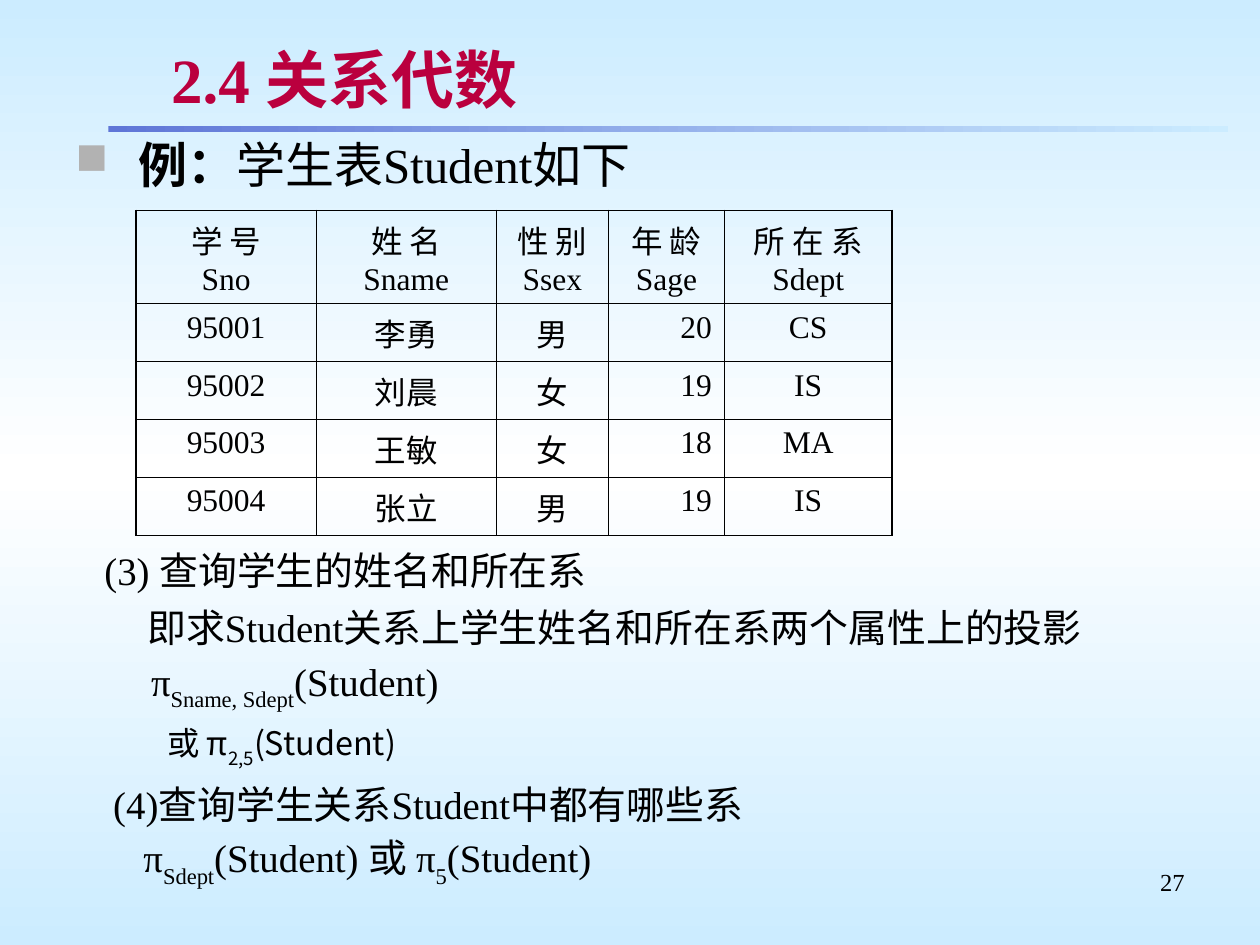
from copy import deepcopy

from lxml.etree import SubElement
from pptx import Presentation
from pptx.dml.color import RGBColor
from pptx.enum.shapes import MSO_SHAPE
from pptx.enum.text import MSO_ANCHOR, PP_ALIGN
from pptx.oxml import parse_xml
from pptx.oxml.ns import nsdecls, qn
from pptx.util import Inches, Pt

BLACK = RGBColor(0x00, 0x00, 0x00)
WHITE = RGBColor(0xFF, 0xFF, 0xFF)
SKY = RGBColor(0xCC, 0xEC, 0xFF)
INDIGO = RGBColor(0x5F, 0x76, 0xD7)
CRIMSON = RGBColor(0xBA, 0x00, 0x3E)
GREY = RGBColor(0xB2, 0xB2, 0xB2)
SERIF, CJK = "Times New Roman", "Noto Sans CJK SC"

HEADINGS = [("学 号", "Sno"), ("姓 名", "Sname"), ("性 别", "Ssex"),
            ("年 龄", "Sage"), ("所 在 系", "Sdept")]
STUDENTS = [("95001", "李勇", "男", "20", "CS"),
            ("95002", "刘晨", "女", "19", "IS"),
            ("95003", "王敏", "女", "18", "MA"),
            ("95004", "张立", "男", "19", "IS")]
COLUMN_WIDTHS = [1.43, 1.43, 0.89, 0.92, 1.33]
AGE_COLUMN = 3
THICK, THIN = 1.08, 0.45

# Each line: indent in inches, points before, size, font, runs ("_" marks a subscript)
QUERIES = [
    (0.31, 0, 22.2, SERIF, ["(3) 查询学生的姓名和所在系"]),
    (0.65, 6, 22.2, SERIF, ["即求Student关系上学生姓名和所在系两个属性上的投影"]),
    (0.68, 9, 22.2, SERIF, ["π", "_Sname, Sdept", "(Student)"]),
    (0.81, 6, 18.5, CJK, ["或 π", "_2,5", "(Student)"]),
    (0.38, 6.5, 22.2, SERIF, ["(4)查询学生关系Student中都有哪些系"]),
    (0.62, 9, 22.2, SERIF, ["π", "_Sdept", "(Student) 或 π", "_5", "(Student)"]),
]


def add_run(paragraph, text, size, color=BLACK, name=SERIF, bold=False):
    run = paragraph.add_run()
    run.text = text
    run.font.color.rgb = color
    for attribute, value in {"size": Pt(size), "name": name, "bold": bold}.items():
        setattr(run.font, attribute, value)
    SubElement(run.font._element, qn("a:ea"), typeface=CJK)
    return run


def add_frame(slide, box, anchor=MSO_ANCHOR.TOP):
    frame = slide.shapes.add_textbox(*map(Inches, box)).text_frame
    frame.word_wrap = True
    frame.vertical_anchor = anchor
    return frame


def paint_background(slide):
    fill = slide.background.fill
    fill.gradient()
    fill.gradient_angle = 90
    for stop in fill.gradient_stops:
        stop.color.rgb = SKY
    # White stop half way down
    stops = slide.element.find(".//" + qn("a:gsLst"))
    middle = deepcopy(stops[0])
    middle.set("pos", "50000")
    middle[0].set("val", str(WHITE))
    stops.insert(1, middle)


def add_rule(slide, box):
    rule = slide.shapes.add_shape(MSO_SHAPE.RECTANGLE, *map(Inches, box))
    rule.shadow.inherit = False
    rule.line.fill.background()
    rule.fill.gradient()
    rule.fill.gradient_angle = 0
    for stop, color in zip(rule.fill.gradient_stops, (INDIGO, SKY)):
        stop.color.rgb = color


def add_title(slide, box):
    frame = add_frame(slide, box, MSO_ANCHOR.MIDDLE)
    title = add_run(frame.paragraphs[0], "2.4 关系代数", 36, CRIMSON, bold=True)
    # Soft text shadow, placed right after the colour
    title.font._element.insert(1, parse_xml(
        f'<a:effectLst {nsdecls("a")}><a:outerShdw dist="25400" dir="2700000">'
        '<a:srgbClr val="C0C0C0"/></a:outerShdw></a:effectLst>'))


def add_example(slide, box):
    example = add_frame(slide, box).paragraphs[0]
    properties = example._p.get_or_add_pPr()
    properties.set("marL", str(Inches(0.5)))
    properties.set("indent", str(-Inches(0.5)))
    bullet_color = SubElement(properties, qn("a:buClr"))
    SubElement(bullet_color, qn("a:srgbClr"), val=str(GREY))
    SubElement(properties, qn("a:buSzPct"), val="90000")
    SubElement(properties, qn("a:buChar"), char="■")
    add_run(example, "例：", 28, bold=True)
    add_run(example, "学生表Student如下", 28)


def set_borders(cell, widths):
    properties = cell._tc.get_or_add_tcPr()
    for side, width in zip("LRTB", widths):
        line = SubElement(properties, qn(f"a:ln{side}"), w=str(Pt(width)))
        SubElement(SubElement(line, qn("a:solidFill")), qn("a:srgbClr"), val=str(BLACK))
    cell.fill.background()


def add_student_table(slide, box):
    rows = [HEADINGS] + [[(value,) for value in student] for student in STUDENTS]
    last_row, last_column = len(rows) - 1, len(HEADINGS) - 1
    table = slide.shapes.add_table(len(rows), len(HEADINGS), *map(Inches, box)).table
    table.first_row = table.horz_banding = False
    for column, width in zip(table.columns, COLUMN_WIDTHS):
        column.width = Inches(width)
    for r, row in enumerate(rows):
        table.rows[r].height = Inches(0.46 if r else 0.74)
        for c, lines in enumerate(row):
            cell = table.cell(r, c)
            outer = (c == 0, c == last_column, r == 0, r == last_row)
            set_borders(cell, [THICK if edge else THIN for edge in outer])
            for i, text in enumerate(lines):
                frame = cell.text_frame
                paragraph = frame.add_paragraph() if i else frame.paragraphs[0]
                numeric = r and c == AGE_COLUMN
                paragraph.alignment = PP_ALIGN.RIGHT if numeric else PP_ALIGN.CENTER
                add_run(paragraph, text, 18)


def add_queries(slide, box):
    frame = add_frame(slide, box)
    for i, (indent, before, size, name, parts) in enumerate(QUERIES):
        paragraph = frame.add_paragraph() if i else frame.paragraphs[0]
        paragraph._p.get_or_add_pPr().set("marL", str(Inches(indent)))
        layout = {"alignment": PP_ALIGN.JUSTIFY, "line_spacing": Pt(26.5),
                  "space_before": Pt(before)}
        for attribute, value in layout.items():
            setattr(paragraph, attribute, value)
        for part in parts:
            run = add_run(paragraph, part.lstrip("_"), size, name=name)
            if part.startswith("_"):
                run.font._element.set("baseline", "-30000")


def add_page_number(slide, box):
    number = add_frame(slide, box).paragraphs[0]
    number.alignment = PP_ALIGN.RIGHT
    add_run(number, "27", 14)


def main():
    deck = Presentation()
    deck.slide_width, deck.slide_height = Inches(10), Inches(7.5)
    slide = deck.slides.add_slide(deck.slide_layouts[6])
    paint_background(slide)
    add_rule(slide, (0.86, 1, 8.89, 0.05))
    add_page_number(slide, (7.17, 6.83, 2.33, 0.52))
    add_title(slide, (1.26, 0.29, 8.24, 0.67))
    add_queries(slide, (0.42, 4.29, 9.25, 2.9))
    add_example(slide, (0.5, 1.02, 8.5, 0.58))
    add_student_table(slide, (1.08, 1.67, 6, 2.58))
    deck.save("out.pptx")


if __name__ == "__main__":
    main()
